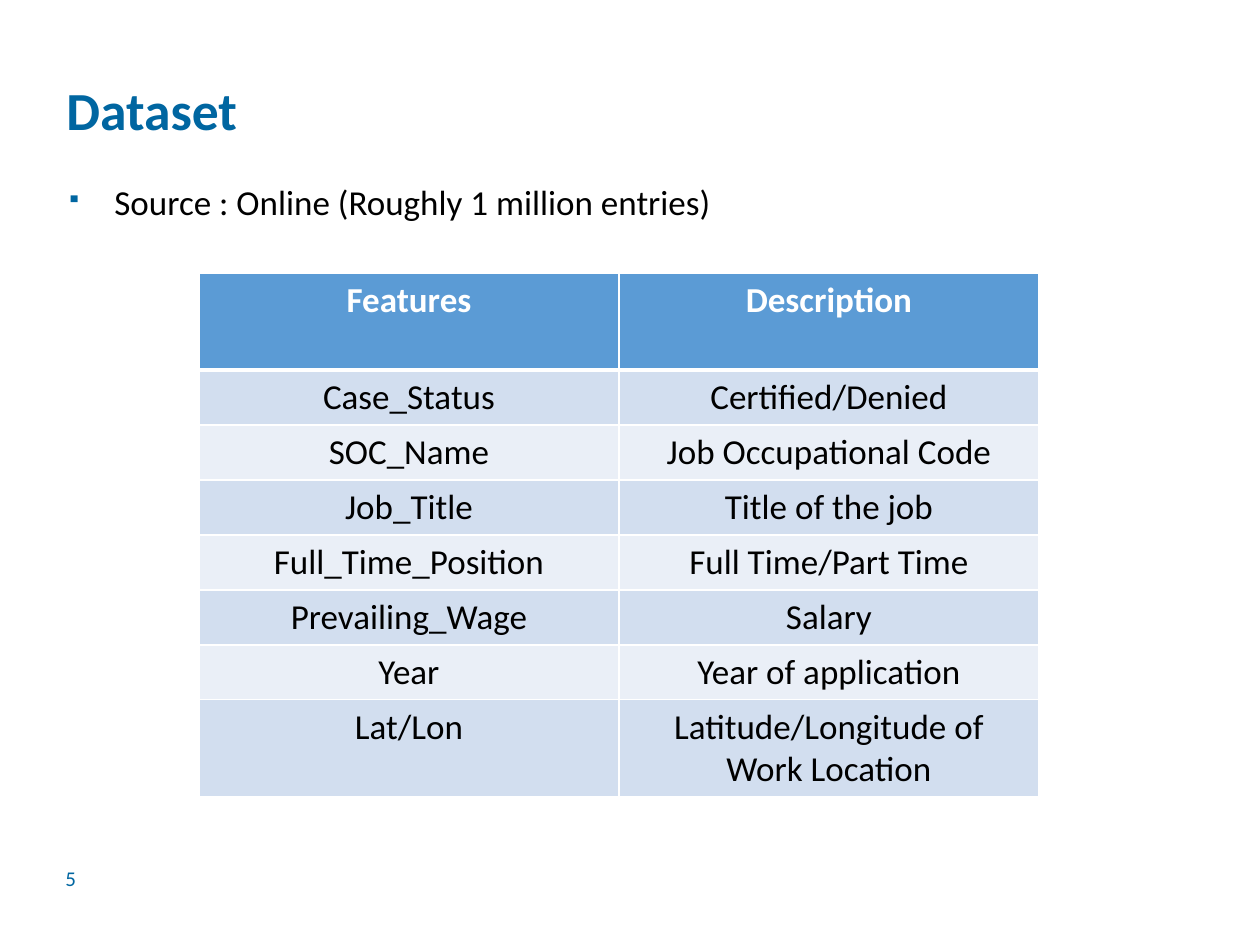
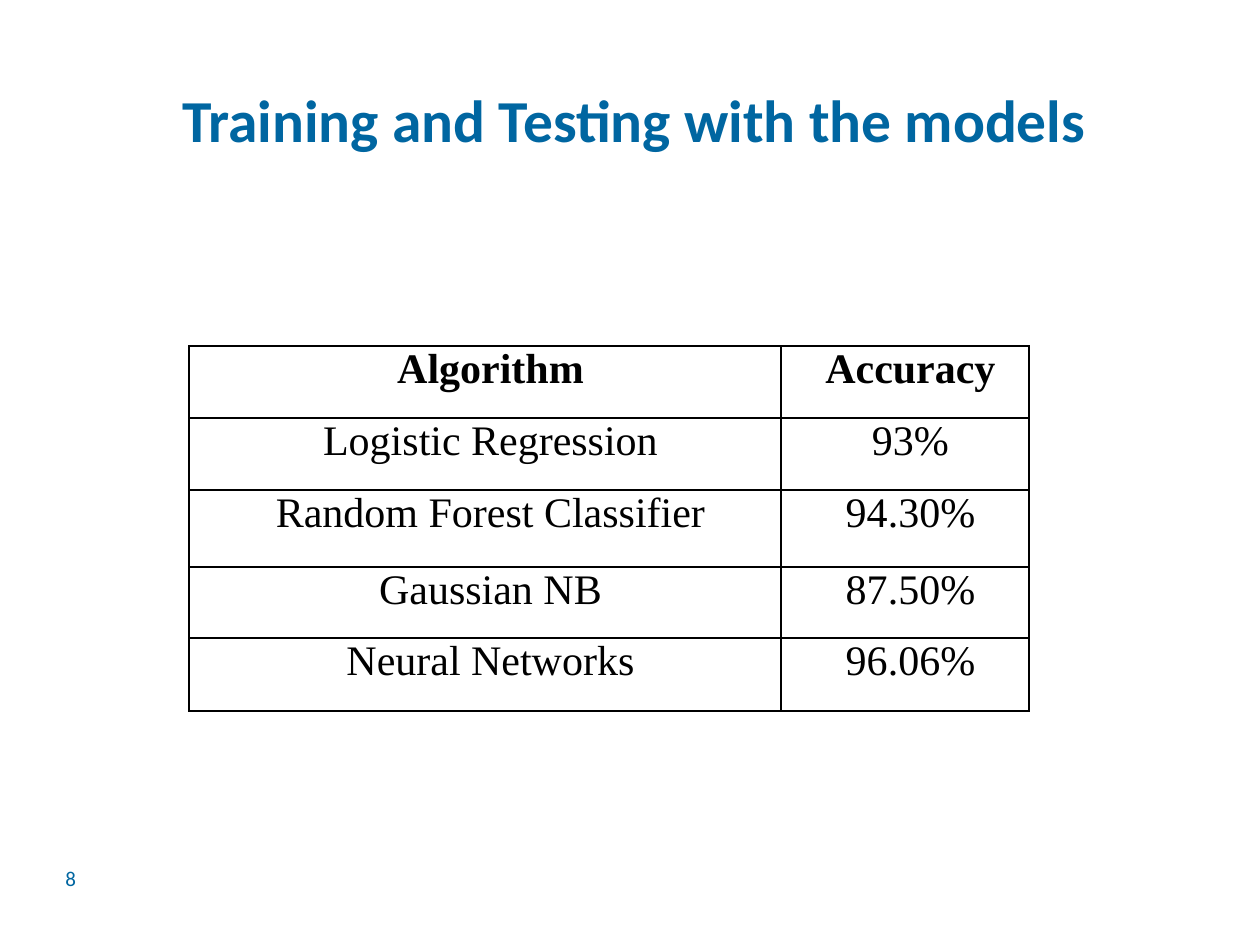
from lxml import etree
from pptx import Presentation, util as u
from pptx.dml.color import RGBColor
from pptx.enum import text
from pptx.oxml import ns

COLORS = {"accent": "0066A1", "black": "000000", "white": "FFFFFF",
          "header": "5B9BD5", "odd": "D2DEEF", "even": "EAEFF7"}
HEADING_FONT = "Calibri"
TITLE_BOX = (54, 78, 1160, 72)
BODY_BOX = (54, 179, 1160, 644)
NUMBER_BOX = (53, 853, 284, 50)

SOURCE_NOTE = "Source : Online (Roughly 1 million entries)"
FEATURES = [
    ("Features", "Description"),
    ("Case_Status", "Certified/Denied"),
    ("SOC_Name", "Job Occupational Code"),
    ("Job_Title", "Title of the job"),
    ("Full_Time_Position", "Full Time/Part Time"),
    ("Prevailing_Wage", "Salary"),
    ("Year", "Year of application"),
    ("Lat/Lon", "Latitude/Longitude of Work Location"),
]
RESULTS = [
    ("Algorithm", "Accuracy"),
    ("Logistic Regression", "93%"),
    ("Random Forest Classifier", "94.30%"),
    ("Gaussian NB", "87.50%"),
    ("Neural Networks", "96.06%"),
]
FEATURE_STYLE = dict(
    font=HEADING_FONT, size=20, margins=(13, 6), indent=0, before=0, border="white",
    header_text="white", header_fill="header", bands=("odd", "even"), header_rule=3)
RESULT_STYLE = dict(
    font="Times New Roman", size=24, margins=(0, 0), indent=11, before=0.7, border="black",
    header_text="black", header_fill=None, bands=(None, None), header_rule=1)


def px(pixels):
    """Turn pixels into EMU."""
    return u.Emu(round(pixels * 914400 / 126))


def style_font(font, name, size, color, bold=False):
    """Set typeface, size, colour and weight."""
    font.name, font.size, font.bold = name, u.Pt(size), bold
    font.color.rgb = RGBColor.from_string(COLORS[color])


def add_text(slide, box, words, size, color, bold=False, align=text.PP_ALIGN.LEFT,
             anchor=text.MSO_ANCHOR.TOP, margin=6, spacing=1.0):
    """Add a one-paragraph text box and return the paragraph."""
    frame = slide.shapes.add_textbox(*map(px, box)).text_frame
    frame.word_wrap, frame.vertical_anchor = True, anchor
    frame.margin_top = frame.margin_bottom = px(margin)
    paragraph = frame.paragraphs[0]
    paragraph.text, paragraph.alignment = words, align
    paragraph.line_spacing = spacing
    style_font(paragraph.font, HEADING_FONT, size, color, bold)
    return paragraph


def add_bullet(paragraph, character, indent, color, percent):
    """Give a paragraph a hanging bullet."""
    properties = paragraph._p.get_or_add_pPr()
    properties.set("marL", str(px(indent)))
    properties.set("indent", str(-px(indent)))
    bullet = [
        f'<a:buClr {ns.nsdecls("a")}><a:srgbClr val="{COLORS[color]}"/></a:buClr>',
        f'<a:buSzPct {ns.nsdecls("a")} val="{percent * 1000}"/>',
        f'<a:buChar {ns.nsdecls("a")} char="{character}"/>']
    position = len(properties.findall(ns.qn("a:lnSpc")))
    for offset, markup in enumerate(bullet):
        properties.insert(position + offset, etree.fromstring(markup))


def set_borders(cell, color, top=1, bottom=1):
    """Draw the four borders of a cell, with widths in points."""
    properties = cell._tc.get_or_add_tcPr()
    widths = {"lnL": 1, "lnR": 1, "lnT": top, "lnB": bottom}
    for position, (side, width) in enumerate(widths.items()):
        properties.insert(position, etree.fromstring(
            f'<a:{side} {ns.nsdecls("a")} w="{u.Pt(width)}"><a:solidFill>'
            f'<a:srgbClr val="{COLORS[color]}"/></a:solidFill></a:{side}>'))


def style_cell(cell, words, row, style):
    """Write and format one cell."""
    header = row == 0
    side, edge = style["margins"]
    cell.margin_left = cell.margin_right = px(side)
    cell.margin_top = cell.margin_bottom = px(edge)
    paragraph = cell.text_frame.paragraphs[0]
    paragraph.text, paragraph.alignment = words, text.PP_ALIGN.CENTER
    paragraph.space_before = u.Pt(style["before"])
    paragraph._p.get_or_add_pPr().set("marL", str(px(style["indent"])))
    style_font(paragraph.font, style["font"], style["size"],
               style["header_text"] if header else "black", header)
    fill = style["header_fill"] if header else style["bands"][(row - 1) % 2]
    if fill:
        cell.fill.solid()
        cell.fill.fore_color.rgb = RGBColor.from_string(COLORS[fill])
    else:
        cell.fill.background()
    rule = style["header_rule"]
    set_borders(cell, style["border"], top=rule if row == 1 else 1,
                bottom=rule if header else 1)


def add_table(slide, left, top, widths, heights, rows, style):
    """Add a table with the given column widths and row heights."""
    table = slide.shapes.add_table(len(rows), len(widths), px(left), px(top),
                                   px(sum(widths)), px(sum(heights))).table
    table.horz_banding = False
    for column, width in zip(table.columns, widths):
        column.width = px(width)
    for index, (row, height) in enumerate(zip(rows, heights)):
        table.rows[index].height = px(height)
        for column, words in enumerate(row):
            style_cell(table.cell(index, column), words, index, style)


def add_slide(presentation, number, title, **title_style):
    """Add a blank slide with its title and page number."""
    slide = presentation.slides.add_slide(presentation.slide_layouts[6])
    add_text(slide, NUMBER_BOX, str(number), 12, "accent", anchor=text.MSO_ANCHOR.MIDDLE)
    add_text(slide, TITLE_BOX, title, color="accent", bold=True, spacing=0.9, **title_style)
    return slide


presentation = Presentation()
presentation.slide_width, presentation.slide_height = px(1260), px(945)

dataset = add_slide(presentation, 5, "Dataset", size=30.6)
note = add_text(dataset, BODY_BOX, SOURCE_NOTE, 20, "black", spacing=0.9)
add_bullet(note, "▪", 48, "accent", 60)
add_table(dataset, 199, 273, [420, 420], [97] + [55] * 6 + [97], FEATURES, FEATURE_STYLE)

training = add_slide(presentation, 8, "Training and Testing with the models", size=34,
                     align=text.PP_ALIGN.CENTER, margin=13)
add_table(training, 189, 346, [592, 248], [72, 72, 77, 71, 73], RESULTS, RESULT_STYLE)

presentation.save("out.pptx")
